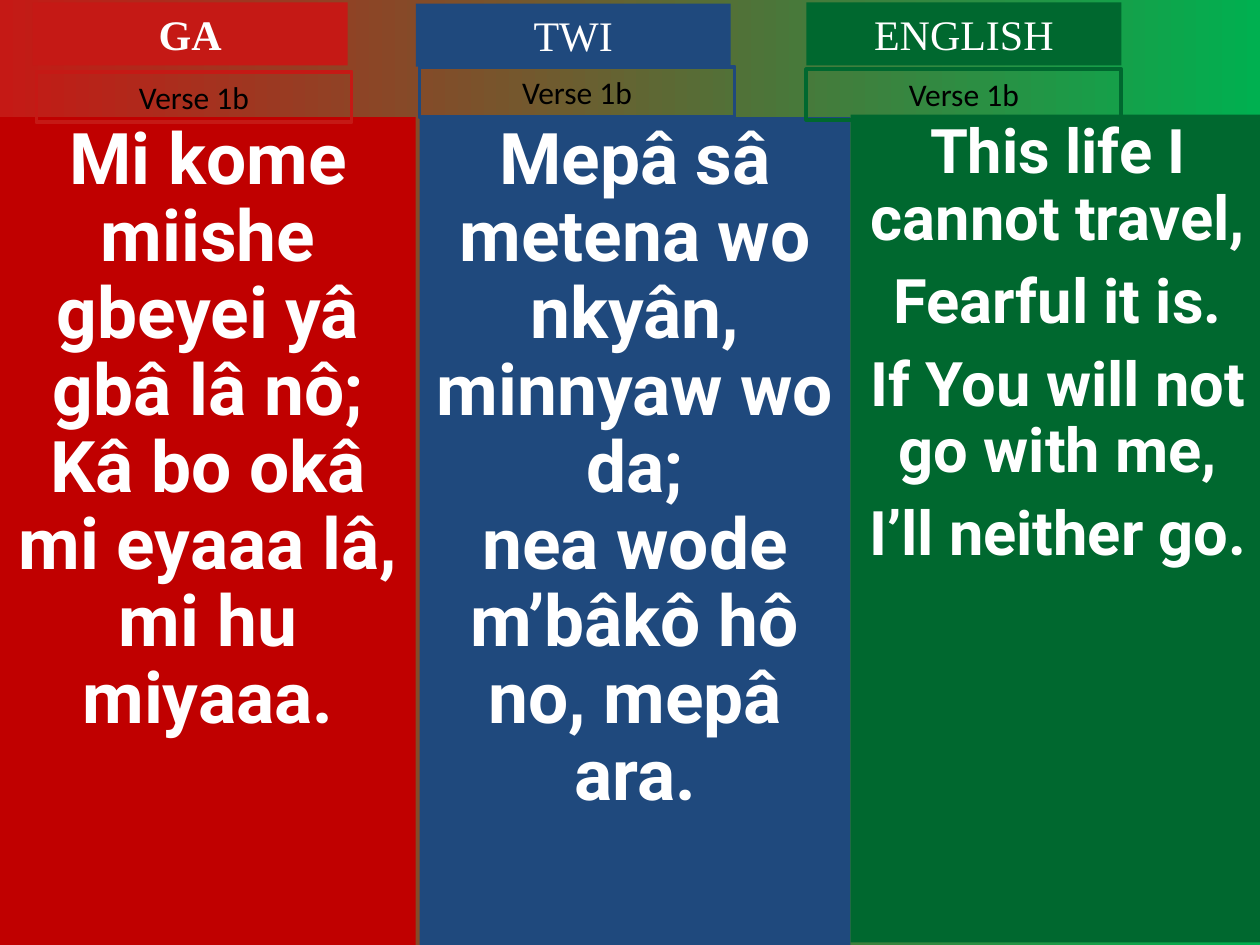
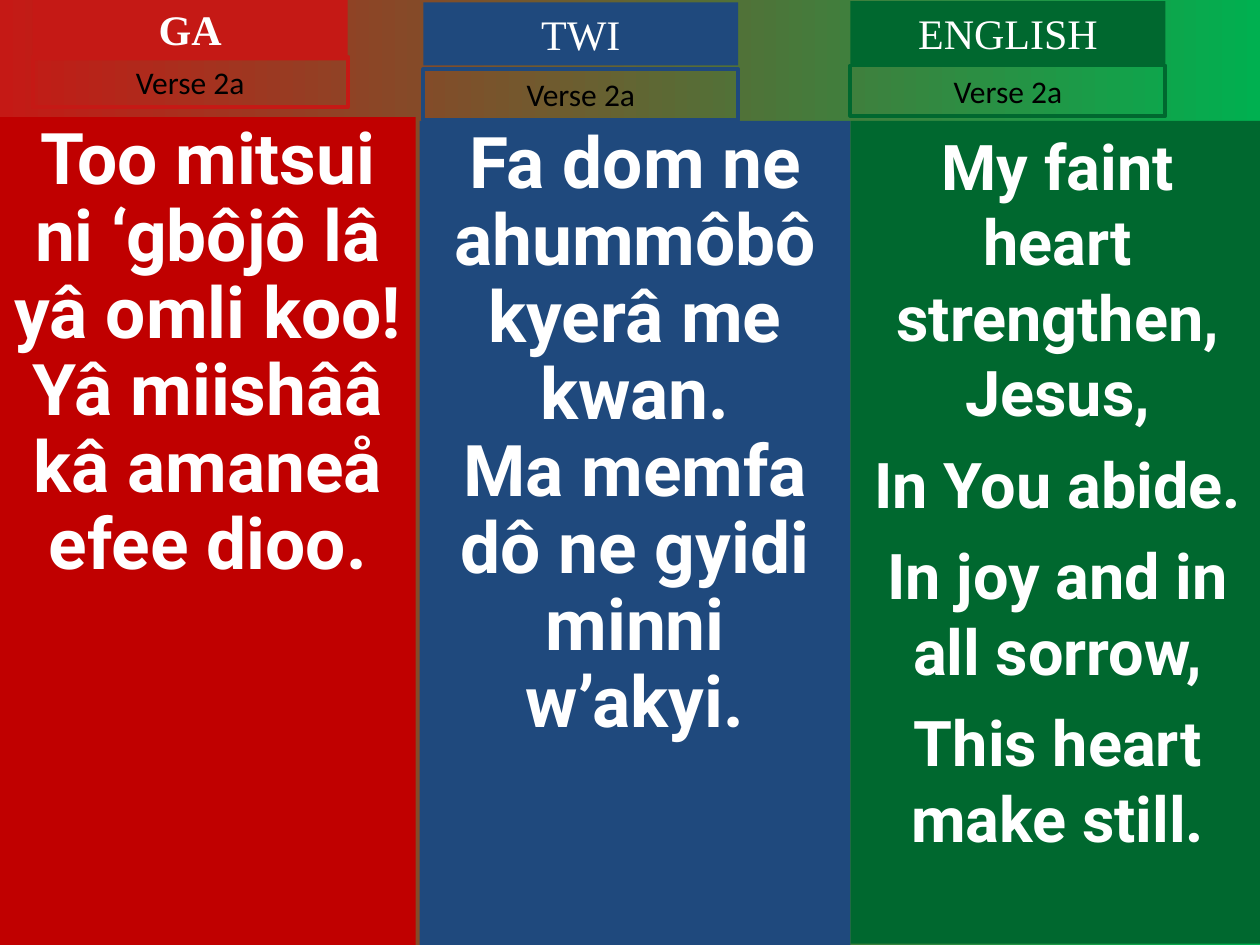
from collections import namedtuple

from pptx import Presentation
from pptx.dml.color import RGBColor
from pptx.enum.shapes import MSO_SHAPE
from pptx.enum.text import MSO_ANCHOR, MSO_AUTO_SIZE, PP_ALIGN
from pptx.util import Emu, Pt

EMU_PER_PX = 9144
RED, DEEP_RED, BLUE, GREEN = "C51915", "C00000", "1F497D", "00682F"
GRADIENT = (RED, "00B050")
WHITE, BLACK = "FFFFFF", "000000"
LABEL_WIDTH, HEADING_HEIGHT, VERSE_HEIGHT = 250, 50, 40

Language = namedtuple("Language", "name label_color lyric_color left width bold")
Lyrics = namedtuple("Lyrics", "heading verse top height size spacing gap lines")

LANGUAGES = (
    Language("GA", RED, DEEP_RED, 0, 330, True),
    Language("TWI", BLUE, BLUE, 333, 342, False),
    Language("ENGLISH", GREEN, GREEN, 675, 329, False),
)

VERSES = {
    "Verse 1b": (
        Lyrics((26, 2), (29, 57), 93, 657, 40.7, 0.9, 0, (
            "Mi kome miishe gbeyei yâ gbâ lâ nô;",
            "Kâ bo okâ mi eyaaa lâ,",
            "mi hu miyaaa.")),
        Lyrics((330, 3), (333, 53), 93, 657, 40.7, 0.9, 0, (
            "Mepâ sâ metena wo nkyân,",
            "minnyaw wo da;",
            "nea wode m’bâkô hô no, mepâ ara.")),
        Lyrics((640, 2), (640, 55), 91, 657, 35.1, 0.9, 9.5, (
            "This life I cannot travel,",
            "Fearful it is.",
            "If You will not go with me,",
            "I’ll neither go.")),
    ),
    "Verse 2a": (
        Lyrics((26, -2), (26, 45), 93, 657, 40.7, 0.9, 0, (
            "Too mitsui ni ‘gbôjô lâ yâ omli koo!",
            "Yâ miishââ kâ amaneå efee dioo.")),
        Lyrics((336, 2), (336, 55), 96, 654, 40.7, 0.9, 0, (
            "Fa dom ne ahummôbô kyerâ me kwan.",
            "Ma memfa dô ne gyidi",
            "minni w’akyi.")),
        Lyrics((675, 1), (675, 52), 96, 653, 36, 1.0, 9, (
            "My faint heart strengthen, Jesus,",
            "In You abide.",
            "In joy and in all sorrow,",
            "This heart make still.")),
    ),
}


def px(length):
    """Turn whole pixels into EMU."""
    return Emu(length * EMU_PER_PX)


def color(hex_text):
    """Turn a hex string into a colour."""
    return RGBColor.from_string(hex_text)


def paint_background(master):
    """Give every page the gradient from left to right."""
    fill = master.background.fill
    fill.gradient()
    fill.gradient_angle = 0
    for stop, hex_text, position in zip(fill.gradient_stops, GRADIENT, (0, 1)):
        stop.color.rgb = color(hex_text)
        stop.position = position


def add_box(page, left, top, width, height, fill=None, line=None):
    """Add a rectangle that is either filled or outlined."""
    box = page.shapes.add_shape(
        MSO_SHAPE.RECTANGLE, px(left), px(top), px(width), px(height))
    box.shadow.inherit = False
    if fill:
        box.fill.solid()
        box.fill.fore_color.rgb = color(fill)
    else:
        box.fill.background()
    if line:
        box.line.color.rgb = color(line)
        box.line.width = Pt(2.25)
    else:
        box.line.fill.background()
    return box


def write(box, lines, font_name, size, text_color, bold=False, spacing=1.0, gap=0):
    """Write centred paragraphs from the top of the box."""
    frame = box.text_frame
    frame.word_wrap = True
    frame.vertical_anchor = MSO_ANCHOR.TOP
    for index, line in enumerate(lines):
        para = frame.add_paragraph() if index else frame.paragraphs[0]
        para.text = line
        para.alignment = PP_ALIGN.CENTER
        para.line_spacing = spacing
        para.space_before = Pt(gap if index else 0)
        para.font.name = font_name
        para.font.size = Pt(size)
        para.font.bold = bold
        para.font.color.rgb = color(text_color)


def add_label(page, place, height, text, font_name, size, text_color, bold=False, **paint):
    """Add a one-line label that fits its text."""
    box = add_box(page, *place, LABEL_WIDTH, height, **paint)
    write(box, [text], font_name, size, text_color, bold)
    box.text_frame.auto_size = MSO_AUTO_SIZE.SHAPE_TO_FIT_TEXT


def add_column(page, verse_name, language, lyrics):
    """Add the lyrics of one language with its heading and verse label."""
    panel = add_box(page, language.left, lyrics.top, language.width, lyrics.height,
                    fill=language.lyric_color)
    write(panel, lyrics.lines, "Roboto", lyrics.size, WHITE, True,
          lyrics.spacing, lyrics.gap)
    add_label(page, lyrics.heading, HEADING_HEIGHT, language.name, "Times New Roman",
              24, WHITE, language.bold, fill=language.label_color)
    add_label(page, lyrics.verse, VERSE_HEIGHT, verse_name, "Calibri",
              18, BLACK, line=language.label_color)


def main():
    """Build one page for each verse."""
    deck = Presentation()
    deck.slide_width, deck.slide_height = px(1000), px(750)
    paint_background(deck.slide_master)
    blank = deck.slide_layouts.get_by_name("Blank")
    for verse_name, columns in VERSES.items():
        page = deck.slides.add_slide(blank)
        for language, lyrics in zip(LANGUAGES, columns):
            add_column(page, verse_name, language, lyrics)
    deck.save("out.pptx")


if __name__ == "__main__":
    main()
